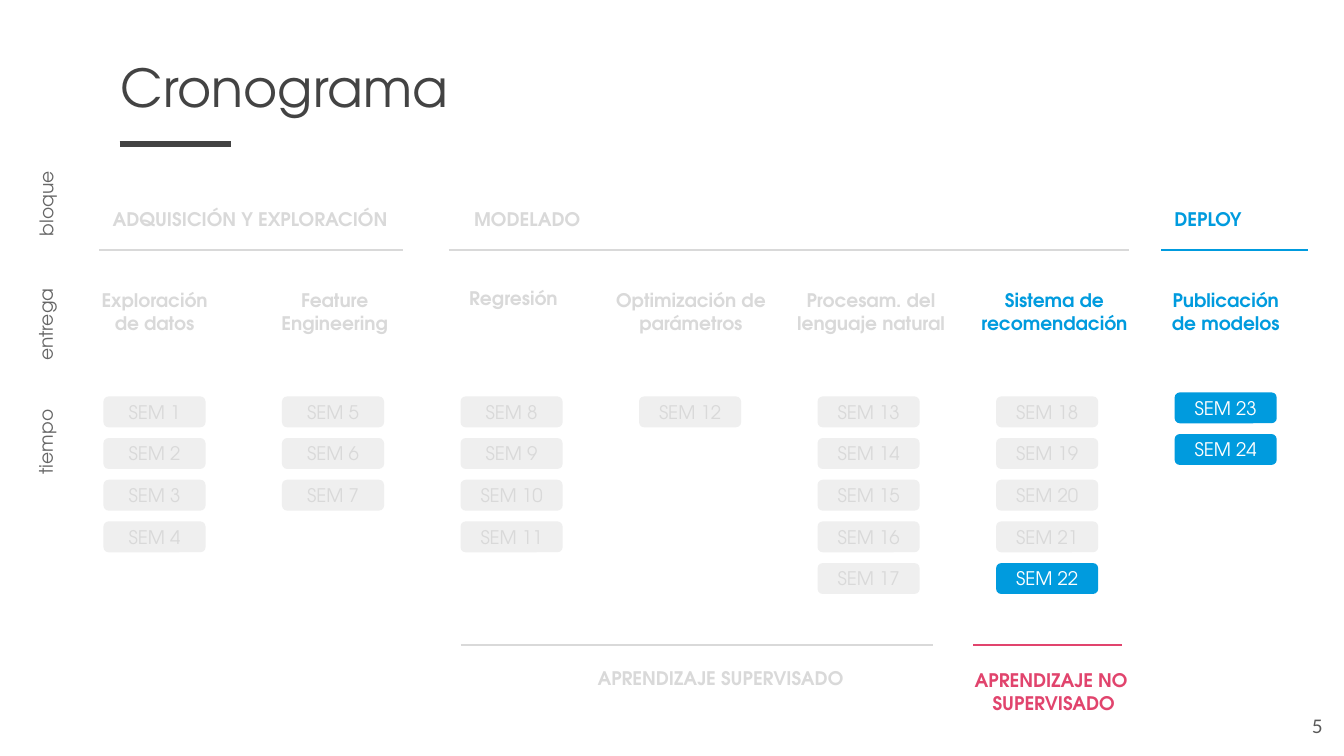
"""Build the course schedule slide: blocks, deliverables and weeks."""
from itertools import count
from lxml.etree import SubElement
from pptx import Presentation
from pptx.dml.color import RGBColor
from pptx.enum.shapes import MSO_CONNECTOR as Connector, MSO_SHAPE as Shape
from pptx.enum.text import MSO_ANCHOR as Anchor, PP_ALIGN as Align
from pptx.oxml.ns import qn
from pptx.util import Inches, Pt

FONT = "TeX Gyre Adventor"
DARK = RGBColor(0x43, 0x43, 0x43)
NUMBER_GRAY = RGBColor(0x59, 0x59, 0x59)
AXIS_GRAY = RGBColor(0x66, 0x66, 0x66)
MUTED = RGBColor(0xD9, 0xD9, 0xD9)
PALE = RGBColor(0xEF, 0xEF, 0xEF)
BLUE = RGBColor(0x00, 0x9B, 0xDE)
PINK = RGBColor(0xE1, 0x44, 0x6D)
WHITE = RGBColor(0xFF, 0xFF, 0xFF)

BLOCKS = [
    ("ADQUISICIÓN Y EXPLORACIÓN", 0.74, 2.35, (0.74, 3), MUTED),
    ("MODELADO", 3.43, 2.35, (3.34, 8.4), MUTED),
    ("DEPLOY", 8.64, 1.09, (8.64, 9.73), BLUE),
]
DELIVERIES = [
    ("Exploración de datos", 0.55, 1.2, MUTED, 4, 2.95),
    ("Feature Engineering", 1.89, 1.2, MUTED, 3, 2.95),
    ("Regresión", 3.22, 1.2, MUTED, 4, 2.95),
    ("Optimización de parámetros", 4.45, 1.38, MUTED, 1, 2.95),
    ("Procesam. del lenguaje natural", 5.79, 1.38, MUTED, 5, 2.95),
    ("Sistema de recomendación", 7.2, 1.29, BLUE, 5, 2.95),
    ("Publicación de modelos", 8.52, 1.2, BLUE, 2, 2.92),
]
LEARNING = [
    ("APRENDIZAJE SUPERVISADO", 4.09, (3.43, 6.94), MUTED, 10),
    ("APRENDIZAJE NO \nSUPERVISADO", 6.57, (7.24, 8.35), PINK, 0),
]
AXES = [
    ("bloque", -0.06, 1.39, 0.7, Align.LEFT),
    ("entrega", -0.22, 2.44, 1.01, Align.RIGHT),
    ("tiempo", -0.22, 3.34, 1.01, Align.RIGHT),
]
FIRST_ACTIVE_WEEK = 22
WEEK_LEFT, WEEK_RIGHTMOST = 0.77, 8.74
WEEK_PITCH_X = (WEEK_RIGHTMOST - WEEK_LEFT) / (len(DELIVERIES) - 1)
WEEK_PITCH_Y = 0.31
WEEK_WIDTH, WEEK_HEIGHT = 0.76, 0.23


def write(holder, text, color, size=10, bold=False, align=Align.CENTER,
          anchor=Anchor.TOP, font=FONT, after=0):
    frame = holder.text_frame
    frame.word_wrap = True
    frame.vertical_anchor = anchor
    frame.margin_left = frame.margin_right = Inches(0.1)
    frame.margin_top = frame.margin_bottom = Inches(0.1)
    for index, line in enumerate(text.split("\n")):
        paragraph = frame.add_paragraph() if index else frame.paragraphs[0]
        paragraph.alignment = align
        paragraph.space_after = Pt(after)
        run = paragraph.add_run()
        run.text = line
        run.font.name, run.font.size, run.font.bold = font, Pt(size), bold
        run.font.color.rgb = color


def add_text(slide, text, left, top, width, height, color, rotation=0, **style):
    box = slide.shapes.add_textbox(*map(Inches, (left, top, width, height)))
    box.rotation = rotation
    write(box, text, color, **style)


def add_rule(slide, span, y, color, weight=1.5):
    start, end = span
    rule = slide.shapes.add_connector(
        Connector.STRAIGHT, *map(Inches, (start, y, end, y)))
    rule.line.color.rgb = color
    rule.line.width = Pt(weight)
    SubElement(rule.element.spPr, qn("a:effectLst"))


def add_week(slide, week, left, top):
    active = week >= FIRST_ACTIVE_WEEK
    pill = slide.shapes.add_shape(
        Shape.ROUNDED_RECTANGLE,
        *map(Inches, (left, top, WEEK_WIDTH, WEEK_HEIGHT)))
    pill.shadow.inherit = False
    pill.fill.solid()
    pill.fill.fore_color.rgb = BLUE if active else PALE
    pill.line.fill.background()
    write(pill, f"SEM {week}", WHITE if active else MUTED, anchor=Anchor.MIDDLE)


def main():
    deck = Presentation()
    deck.slide_width = Inches(10)
    deck.slide_height = deck.slide_width * 9 // 16
    slide = deck.slides.add_slide(deck.slide_layouts[6])

    add_text(slide, "Cronograma", 0.8, 0.31, 7.38, 0.59, DARK,
             size=28, align=Align.LEFT)
    add_rule(slide, (0.89, 1.72), 1.07, DARK, weight=3)
    for name, left, top, width, align in AXES:
        add_text(slide, name, left, top, width, 0.23, AXIS_GRAY,
                 rotation=270, align=align, after=10)
    for name, left, width, span, color in BLOCKS:
        add_rule(slide, span, 1.86, color)
        add_text(slide, name, left, 1.46, width, 0.23, color,
                 bold=True, align=Align.LEFT, after=10)

    weeks = count(1)
    for column, (name, left, width, color, total, top) in enumerate(DELIVERIES):
        add_text(slide, name, left, 2.05, width, 0.53, color,
                 bold=True, after=10)
        for row in range(total):
            add_week(slide, next(weeks), WEEK_LEFT + column * WEEK_PITCH_X,
                     top + row * WEEK_PITCH_Y)

    for name, left, span, color, after in LEARNING:
        add_rule(slide, span, 4.8, color)
        add_text(slide, name, left, 4.88, 2.54, 0.29, color,
                 bold=True, after=after)
    add_text(slide, "5", 9.34, 5.19, 0.6, 0.43, NUMBER_GRAY,
             align=Align.RIGHT, anchor=Anchor.MIDDLE, font="Lato")
    deck.save("out.pptx")


if __name__ == "__main__":
    main()
